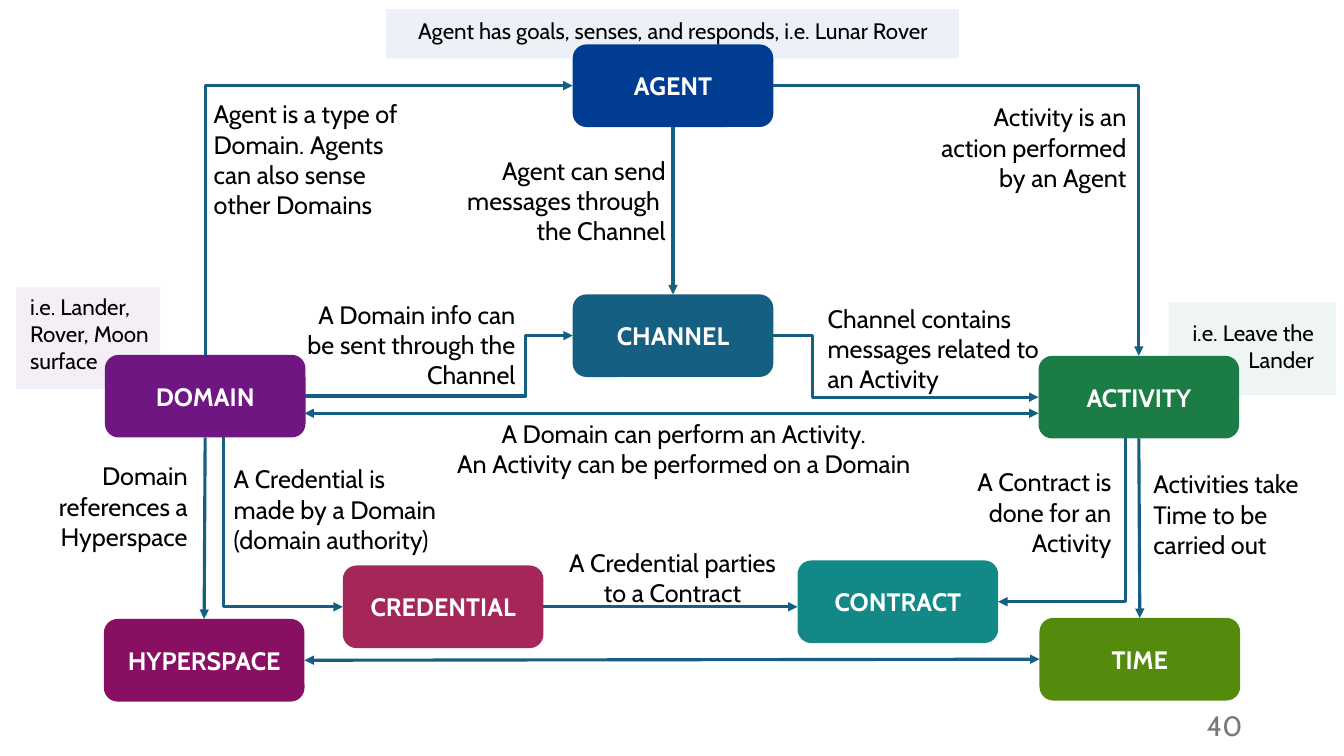
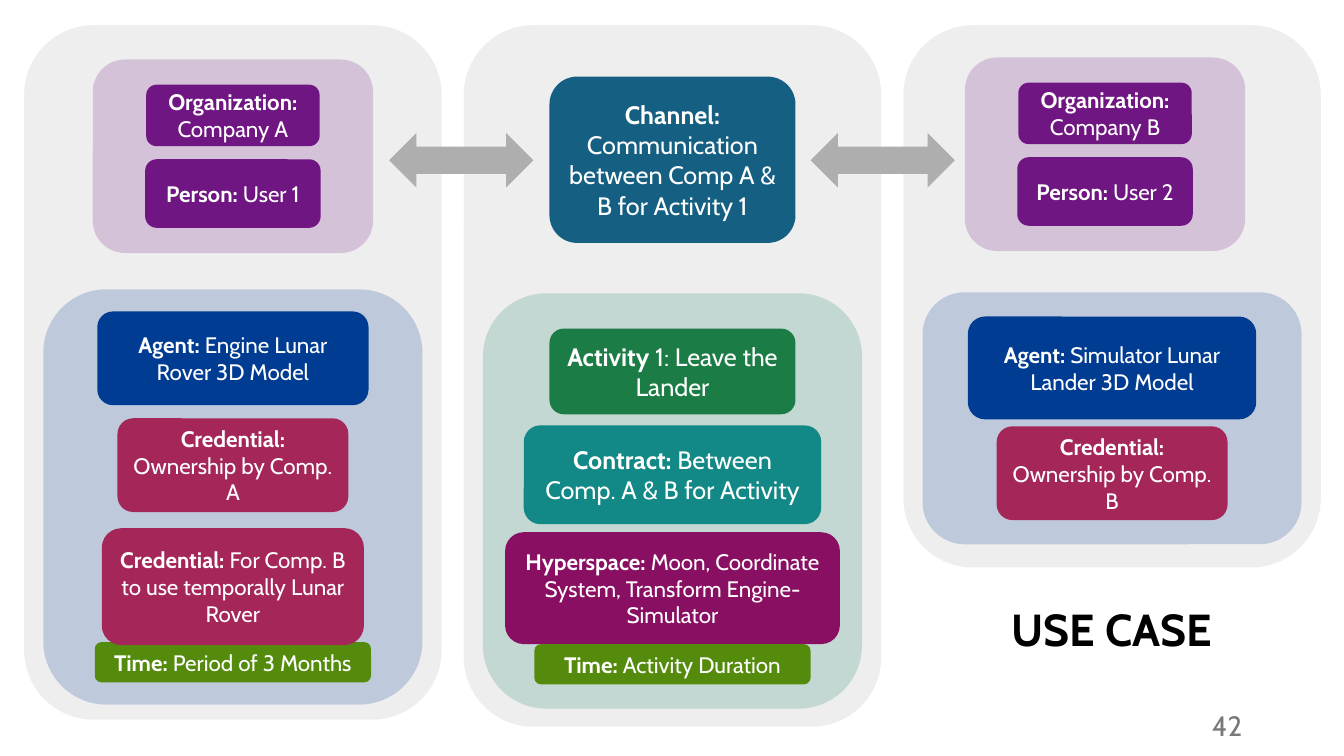
from dataclasses import dataclass
from typing import Any, NamedTuple

from lxml import etree
from pptx import Presentation
from pptx.dml.color import RGBColor
from pptx.enum.shapes import MSO_CONNECTOR, MSO_SHAPE
from pptx.enum.text import MSO_ANCHOR, PP_ALIGN
from pptx.oxml.ns import qn
from pptx.util import Emu, Inches, Pt

# The grid has square cells of one inch.
CELL = Inches(1)
SLIDE_COLS, SLIDE_ROWS = 13.33, 7.5

BLACK = RGBColor(0x00, 0x00, 0x00)
WHITE = RGBColor(0xFF, 0xFF, 0xFF)
GREY = RGBColor(0xAE, 0xAE, 0xAE)
PAGE_GREY = RGBColor(0x79, 0x79, 0x79)
BLUE = RGBColor(0x00, 0x3D, 0x92)
STEEL = RGBColor(0x15, 0x60, 0x82)
PURPLE = RGBColor(0x70, 0x16, 0x82)
GREEN = RGBColor(0x1C, 0x7C, 0x45)
SEA = RGBColor(0x1B, 0x7D, 0x6A)
TEAL = RGBColor(0x12, 0x89, 0x86)
PLUM = RGBColor(0x89, 0x0F, 0x63)
CRIMSON = RGBColor(0xA5, 0x27, 0x5A)
OLIVE = RGBColor(0x55, 0x8B, 0x0D)

RECT, ROUND = MSO_SHAPE.RECTANGLE, MSO_SHAPE.ROUNDED_RECTANGLE
DOUBLE_ARROW = MSO_SHAPE.LEFT_RIGHT_ARROW
STRAIGHT, ELBOW = MSO_CONNECTOR.STRAIGHT, MSO_CONNECTOR.ELBOW
LEFT, CENTER, RIGHT = PP_ALIGN.LEFT, PP_ALIGN.CENTER, PP_ALIGN.RIGHT
TOP, MIDDLE = MSO_ANCHOR.TOP, MSO_ANCHOR.MIDDLE
SITE_TOP, SITE_LEFT, SITE_BOTTOM, SITE_RIGHT = range(4)

FONT = "Cabin"
NODE_W, NODE_H = 1.99, 0.82
PANEL_W, PANEL_TOP = 4.14, 0.25
GROUP_W = 3.76


class Box(NamedTuple):
    col: float
    row: float
    cols: float
    rows: float


class Run(NamedTuple):
    text: str
    bold: bool = False


class Node(NamedTuple):
    name: str
    col: float
    row: float
    fill: RGBColor


class Note(NamedTuple):
    box: Box
    fill: RGBColor


class Label(NamedTuple):
    box: Box
    align: Any
    lines: list[str]
    size: int = 18


class End(NamedTuple):
    """A connector end: a site of a node, or a free point."""
    node: str = ""
    site: int = 0
    col: float = 0
    row: float = 0


@dataclass
class Link:
    begin: End
    end: End
    arrows: tuple[str, ...] = ("tailEnd",)
    preset: str = "line"
    bend: int = 0


@dataclass
class Card:
    row: float
    cols: float
    rows: float
    fill: RGBColor
    label: str
    text: str
    size: int = 16


@dataclass
class Panel:
    """A grey column with a tinted group of cards in its lower part."""
    centre: float
    rows: float
    group_row: float
    group_rows: float
    tint: RGBColor
    cards: list[Card]


NODES = [
    Node("AGENT", 5.68, 0.44, BLUE),
    Node("CHANNEL", 5.68, 2.92, STEEL),
    Node("DOMAIN", 1.04, 3.52, PURPLE),
    Node("ACTIVITY", 10.3, 3.53, GREEN),
    Node("CREDENTIAL", 3.4, 5.61, CRIMSON),
    Node("CONTRACT", 7.91, 5.56, TEAL),
    Node("HYPERSPACE", 1.03, 6.14, PLUM),
    Node("TIME", 10.31, 6.13, OLIVE),
]
NOTES = [
    Note(Box(0.16, 2.85, 1.43, 1.01), PURPLE),
    Note(Box(11.59, 3, 1.66, 0.92), SEA),
    Note(Box(3.83, 0.09, 5.68, 0.49), BLUE),
]
LABELS = [
    Label(Box(3.55, 0.12, 6.25, 0.37), CENTER,
          ["Agent has goals, senses, and responds, i.e. Lunar Rover"], 16),
    Label(Box(0.2, 2.86, 1.69, 0.91), LEFT, ["i.e. Lander, Rover, Moon surface"], 16),
    Label(Box(11.47, 3.12, 1.66, 0.64), RIGHT, ["i.e. Leave the Lander"], 16),
    Label(Box(2.02, 0.93, 2.08, 1.31), LEFT,
          ["Agent is a type of Domain. Agents can also sense other Domains"]),
    Label(Box(9.16, 0.96, 2.11, 1.01), RIGHT, ["Activity is an action performed by an Agent"]),
    Label(Box(4.44, 1.49, 2.26, 1.01), RIGHT,
          ["Agent can send messages through ", "the Channel"]),
    Label(Box(8.11, 2.96, 2.31, 1.01), LEFT,
          ["Channel contains messages related to an Activity"]),
    Label(Box(2.95, 2.92, 2.26, 1.01), RIGHT,
          ["A Domain info can be sent through the Channel"]),
    Label(Box(4.31, 4.1, 5, 0.71), CENTER,
          ["A Domain can perform an Activity. ", "An Activity can be performed on a Domain "]),
    Label(Box(11.34, 4.6, 2.02, 1.01), LEFT, ["Activities take Time to be carried out"]),
    Label(Box(9.1, 4.58, 2.02, 1.01), RIGHT, ["A Contract is done for an Activity"]),
    Label(Box(2.22, 4.55, 2.3, 1.01), LEFT,
          ["A Credential is made by a Domain (domain authority)"]),
    Label(Box(5.48, 5.38, 2.38, 0.71), CENTER, ["A Credential parties to a Contract"]),
    Label(Box(0.09, 4.52, 1.87, 1.01), RIGHT, ["Domain references a Hyperspace"]),
]
BOTH, HEAD = ("headEnd", "tailEnd"), ("headEnd",)
# A single bend runs sideways first, so some of these links begin at their arrowhead.
LINKS = [
    Link(End("AGENT", SITE_LEFT), End("DOMAIN", SITE_TOP), HEAD, "bentConnector2"),
    Link(End("AGENT", SITE_RIGHT), End("ACTIVITY", SITE_TOP), preset="bentConnector2"),
    Link(End("CREDENTIAL", SITE_LEFT), End(col=2.22, row=4.34), HEAD, "bentConnector2"),
    Link(End("CONTRACT", SITE_RIGHT), End(col=11.16, row=4.35), HEAD, "bentConnector2"),
    Link(End("CHANNEL", SITE_RIGHT), End("ACTIVITY", SITE_LEFT),
         preset="bentConnector3", bend=14900),
    Link(End("DOMAIN", SITE_RIGHT), End("CHANNEL", SITE_LEFT),
         preset="bentConnector3", bend=82500),
    Link(End("HYPERSPACE", SITE_RIGHT), End("TIME", SITE_LEFT), BOTH),
    Link(End("DOMAIN", SITE_BOTTOM), End("HYPERSPACE", SITE_TOP)),
    Link(End("CREDENTIAL", SITE_RIGHT), End(col=7.91, row=6.02)),
    Link(End(col=3.02, row=4.1), End(col=10.3, row=4.1), BOTH),
    Link(End("ACTIVITY", SITE_BOTTOM), End("TIME", SITE_TOP)),
    Link(End("AGENT", SITE_BOTTOM), End("CHANNEL", SITE_TOP)),
]
PANELS = [
    Panel(2.31, 6.89, 2.87, 4.12, BLUE, [
        Card(3.09, 2.69, 0.93, BLUE, "Agent: ", "Engine Lunar Rover 3D Model"),
        Card(6.37, 2.74, 0.4, OLIVE, "Time: ", "Period of 3 Months"),
        Card(5.24, 2.6, 1.16, CRIMSON, "Credential: ",
             "For Comp. B to use temporally Lunar Rover"),
        Card(4.15, 2.29, 0.93, CRIMSON, "Credential: ", "Ownership by Comp. A"),
    ]),
    Panel(6.67, 6.96, 2.91, 4.12, SEA, [
        Card(0.76, 2.44, 1.65, STEEL, "Channel: ",
             "Communication between Comp A & B for Activity 1", 18),
        Card(3.26, 2.44, 0.85, GREEN, "Activity ", "1: Leave the Lander", 18),
        Card(5.28, 3.32, 1.11, PLUM, "Hyperspace: ",
             "Moon, Coordinate System, Transform Engine-Simulator"),
        Card(4.22, 2.95, 0.98, TEAL, "Contract: ", "Between Comp. A & B for Activity", 18),
        Card(6.39, 2.74, 0.4, OLIVE, "Time: ", "Activity Duration"),
    ]),
    Panel(11.03, 5.38, 2.9, 2.5, BLUE, [
        Card(3.14, 2.86, 1.02, BLUE, "Agent: ", "Simulator Lunar Lander 3D Model"),
        Card(4.23, 2.29, 0.93, CRIMSON, "Credential: ", "Ownership by Comp. B"),
    ]),
]


def grid(*lengths: float) -> list[Emu]:
    return [Emu(round(n * CELL)) for n in lengths]


def write(tf, lines: list[list[Run]], size: int, color: RGBColor,
          align=CENTER, anchor=MIDDLE) -> None:
    for key, value in {"word_wrap": True, "vertical_anchor": anchor}.items():
        setattr(tf, key, value)
    for i, runs in enumerate(lines):
        p = tf.add_paragraph() if i else tf.paragraphs[0]
        p.alignment = align
        for run in runs:
            r = p.add_run()
            r.text = run.text
            for key, value in {"name": FONT, "size": Pt(size), "bold": run.bold}.items():
                setattr(r.font, key, value)
            r.font.color.rgb = color


def add_block(s, box: Box, fill: RGBColor, preset=ROUND, opacity: int = 100):
    sp = s.shapes.add_shape(preset, *grid(*box))
    sp.shadow.inherit = False
    sp.fill.solid()
    sp.fill.fore_color.rgb = fill
    sp.line.fill.background()
    if opacity < 100:
        color = sp._element.spPr.find(".//" + qn("a:srgbClr"))
        etree.SubElement(color, qn("a:alpha"), val=str(opacity * 1000))
    return sp


def add_text(s, box: Box, lines: list[str], size: int, color: RGBColor,
             align, anchor=TOP) -> None:
    tf = s.shapes.add_textbox(*grid(*box)).text_frame
    write(tf, [[Run(line)] for line in lines], size, color, align, anchor)


def add_page_number(s, number: int) -> None:
    add_text(s, Box(9.42, 7, 3, 0.4), [str(number)], 20, PAGE_GREY, RIGHT, MIDDLE)


def add_card(s, centre: float, card: Card) -> None:
    box = Box(centre - card.cols / 2, card.row, card.cols, card.rows)
    tf = add_block(s, box, card.fill).text_frame
    write(tf, [[Run(card.label, True), Run(card.text)]], card.size, WHITE)


def add_link(s, link: Link, nodes: dict[str, Any]) -> None:
    kind = STRAIGHT if link.preset == "line" else ELBOW
    cx = s.shapes.add_connector(kind, *grid(link.begin.col, link.begin.row,
                                            link.end.col, link.end.row))
    for end, connect in ((link.begin, cx.begin_connect), (link.end, cx.end_connect)):
        if end.node:
            connect(nodes[end.node], end.site)
    cx.line.color.rgb = STEEL
    cx.line.width = Pt(2.25)
    spPr = cx._element.spPr
    geom = spPr.find(qn("a:prstGeom"))
    geom.set("prst", link.preset)
    if link.bend:
        etree.SubElement(geom.find(qn("a:avLst")), qn("a:gd"),
                         name="adj1", fmla=f"val {link.bend}")
    for arrow in link.arrows:
        etree.SubElement(spPr.find(qn("a:ln")), qn(f"a:{arrow}"), type="triangle")
    etree.SubElement(spPr, qn("a:effectLst"))


def add_company(s, centre: float, row: float, letter: str, user: int) -> None:
    add_block(s, Box(centre - 1.39, row, 2.78, 1.92), PURPLE, opacity=20)
    add_card(s, centre, Card(row + 0.25, 1.72, 0.61, PURPLE,
                             "Organization: ", f"Company {letter}"))
    add_card(s, centre, Card(row + 0.99, 1.74, 0.68, PURPLE, "Person: ", f"User {user}"))


def build_concept_map(prs) -> None:
    s = prs.slides.add_slide(prs.slide_layouts.get_by_name("Blank"))
    for note in NOTES:
        add_block(s, note.box, note.fill, RECT, 7)
    nodes = {}
    for node in NODES:
        sp = add_block(s, Box(node.col, node.row, NODE_W, NODE_H), node.fill)
        write(sp.text_frame, [[Run(node.name, True)]], 18, WHITE)
        nodes[node.name] = sp
    for link in LINKS:
        add_link(s, link, nodes)
    for label in LABELS:
        add_text(s, label.box, label.lines, label.size, BLACK, label.align)
    add_page_number(s, 40)


def build_use_case(prs) -> None:
    s = prs.slides.add_slide(prs.slide_layouts.get_by_name("Title Only"))
    title = s.shapes.title
    title.left, title.top, title.width, title.height = grid(9.03, 5.8, 4, 0.94)
    write(title.text_frame, [[Run("USE CASE", True)]], 32, BLACK)
    title.text_frame.paragraphs[0].line_spacing = 0.9
    for panel in PANELS:
        add_block(s, Box(panel.centre - PANEL_W / 2, PANEL_TOP, PANEL_W, panel.rows),
                  GREY, opacity=20)
        add_block(s, Box(panel.centre - GROUP_W / 2, panel.group_row,
                         GROUP_W, panel.group_rows), panel.tint, opacity=20)
        for card in panel.cards:
            add_card(s, panel.centre, card)
    add_company(s, 2.31, 0.59, "A", 1)
    add_company(s, 10.96, 0.57, "B", 2)
    for col in (3.86, 8.04):
        add_block(s, Box(col, 1.32, 1.43, 0.54), GREY, DOUBLE_ARROW)
    add_page_number(s, 42)


def main() -> None:
    prs = Presentation()
    prs.slide_width, prs.slide_height = grid(SLIDE_COLS, SLIDE_ROWS)
    build_concept_map(prs)
    build_use_case(prs)
    prs.save("out.pptx")


if __name__ == "__main__":
    main()
